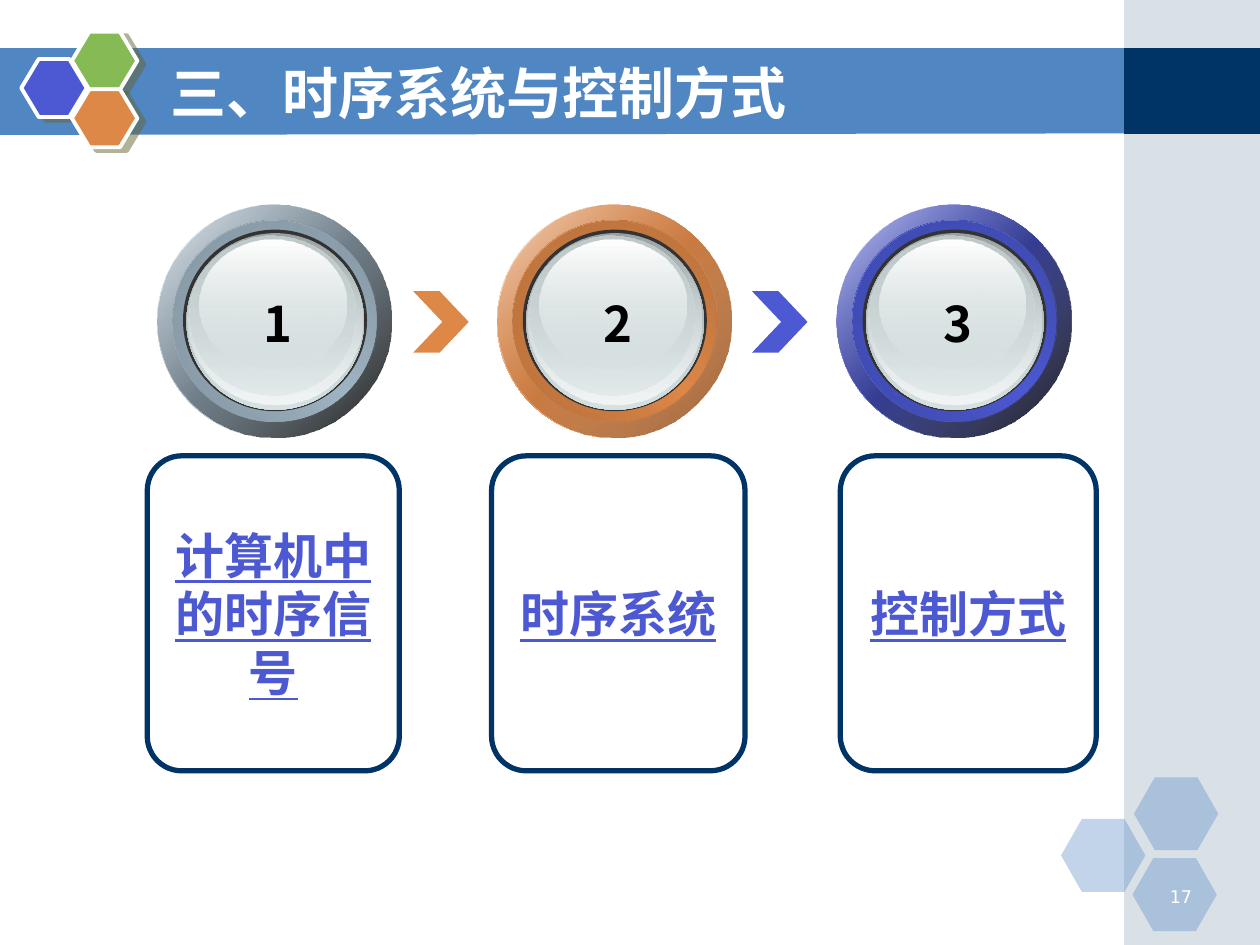
from lxml import etree
from pptx import Presentation
from pptx.dml.color import RGBColor
from pptx.enum.shapes import MSO_SHAPE as Shape
from pptx.enum.text import MSO_ANCHOR as Anchor, MSO_AUTO_SIZE as AutoSize, PP_ALIGN as Align
from pptx.oxml.ns import qn
from pptx.util import Cm, Pt

COLORS = {
    "white": "FFFFFF", "black": "000000", "navy": "003366", "banner": "5086C2",
    "steel": "A0B5C4", "blue": "4C59D2", "green": "85BA54", "orange": "DE8848",
    "rim": "333333", "shade": "666633", "glass": "D6E1E2", "glass_dark": "99A1A2",
    "glass_mid": "C1CBCC", "glass_light": "F2F5F5",
    "steel_dark": "7B8B96", "steel_mid": "8395A1",
    "orange_edge": "9F6134", "orange_dark": "AA6837", "orange_mid": "B6703B",
    "blue_dark": "3A44A1", "blue_mid": "3E49AC",
}
FONT = "Noto Sans CJK SC"


def add_figure(kind, left, top, width, height, stops=(), angle=0, adjust=None):
    """Add a preset shape; stops are (position, color, opacity) in percent."""
    shape = page.shapes.add_shape(kind, Cm(left), Cm(top), Cm(width), Cm(height))
    shape.shadow.inherit = False
    shape.line.fill.background()
    shape.fill.background()
    if adjust is not None:
        shape.adjustments[0] = adjust
    if stops:
        properties = shape.element.spPr
        old_fill = properties.find(qn("a:noFill"))
        fill = etree.Element(qn("a:solidFill" if len(stops) == 1 else "a:gradFill"))
        parent = fill if len(stops) == 1 else etree.SubElement(fill, qn("a:gsLst"))
        for position, color, opacity in stops:
            holder = parent
            if len(stops) > 1:
                holder = etree.SubElement(parent, qn("a:gs"), pos=str(position * 1000))
            value = etree.SubElement(holder, qn("a:srgbClr"), val=COLORS[color])
            if opacity < 100:
                etree.SubElement(value, qn("a:alpha"), val=str(opacity * 1000))
        if len(stops) > 1:
            etree.SubElement(fill, qn("a:lin"), ang=str(angle * 60000), scaled="0")
        properties.replace(old_fill, fill)
    return shape


def write(shape, text, size, color, align, bold=True, font=FONT, underline=False):
    frame = shape.text_frame
    frame.text = text
    para = frame.paragraphs[0]
    para.alignment = align
    span = para.runs[0]
    span.font.size = Pt(size)
    span.font.bold = bold
    span.font.underline = underline
    span.font.name = font
    span.font.color.rgb = RGBColor.from_string(COLORS[color])
    etree.SubElement(span.font._element, qn("a:ea"), typeface=FONT)
    return frame


deck = Presentation()
deck.slide_width, deck.slide_height = Cm(25.4), Cm(19.05)
page = deck.slides.add_slide(deck.slide_layouts[5])

# Banner and side strip
builder = page.shapes.build_freeform(Cm(-0.03), Cm(0.97))
builder.add_line_segments(
    [(Cm(22.73), Cm(0.97)), (Cm(22.73), Cm(2.69)), (Cm(-0.03), Cm(2.72))], close=True)
banner = builder.convert_to_shape()
banner.shadow.inherit = False
banner.fill.solid()
banner.fill.fore_color.rgb = RGBColor.from_string(COLORS["banner"])
banner.line.fill.background()
add_figure(Shape.RECTANGLE, 22.66, 0, 2.74, 19.05, [(0, "steel", 40)])
add_figure(Shape.RECTANGLE, 22.66, 0.97, 2.74, 1.73, [(0, "navy", 100)])

# Pale hexagons in the corner
for left, top in [(21.39, 16.51), (22.86, 15.67), (22.83, 17.3)]:
    add_figure(Shape.HEXAGON, left, top, 1.7, 1.47, [(0, "banner", 35)], adjust=0.286)

# Hexagon cluster on the banner
for left, top, color in [(0.43, 1.19, "blue"), (1.45, 0.64, "green"), (1.45, 1.8, "orange")]:
    hexagon = add_figure(Shape.HEXAGON, left, top, 1.32, 1.17, [(0, color, 100)], adjust=0.3)
    hexagon.line.color.rgb = RGBColor.from_string(COLORS["white"])
    hexagon.line.width = Pt(2.25)
    effects = hexagon.element.spPr.find(qn("a:effectLst"))
    shadow = etree.SubElement(effects, qn("a:outerShdw"), blurRad="0", dist=str(Pt(4.5)),
                              dir=str(27 * 60000), algn="ctr", rotWithShape="0")
    tint = etree.SubElement(shadow, qn("a:srgbClr"), val=COLORS["shade"])
    etree.SubElement(tint, qn("a:alpha"), val="50000")

# Slide number
number_box = page.shapes.add_textbox(Cm(23.01), Cm(17.73), Cm(1.27), Cm(0.64))
number_box.text_frame.word_wrap = True
write(number_box, "17", 10, "white", Align.RIGHT, bold=False, font="DejaVu Sans")

# Title, brought in front of the banner
title = page.shapes.title
title.left, title.top, title.width, title.height = Cm(3.18), Cm(1.07), Cm(18.62), Cm(1.57)
frame = write(title, "三、时序系统与控制方式", 32, "white", Align.LEFT)
frame.vertical_anchor = Anchor.MIDDLE
frame.auto_size = AutoSize.NONE
page.shapes.element.append(title.element)

# Chevrons between the dials
for left, color in [(8.33, "orange"), (15.16, "blue")]:
    add_figure(Shape.CHEVRON, left, 5.87, 1.12, 1.24, [(0, color, 100)], adjust=0.525)

# Cards with a numbered dial above each
topics = [
    ("计算机中的时序信号", FONT, 2.97, 5.08, "steel", ("black", 90)),
    ("时序系统", "Arial", 9.91, 5.11, "orange", ("orange_edge", 100)),
    ("控制方式", FONT, 16.94, 5.16, "blue", ("black", 90)),
]
for index, (text, font, card_left, card_width, color, edge) in enumerate(topics):
    card = add_figure(Shape.ROUNDED_RECTANGLE, card_left, 9.19, card_width, 6.35, adjust=0.137)
    card.line.color.rgb = RGBColor.from_string(COLORS["navy"])
    card.line.width = Pt(3)
    frame = write(card, text, 28, "blue", Align.CENTER, font=font, underline=True)
    frame.word_wrap = True
    frame.vertical_anchor = Anchor.MIDDLE

    # Dial layers from the outer ring to the glass highlight
    dial_left, dial_top = 3.17 + 6.85 * index, 4.13
    dark, mid = color + "_dark", color + "_mid"
    layers = [
        (0, 0, 4.72, 4.7, 45, [(0, "white", 100), (50, color, 100), (100, "white", 100)]),
        (0, 0, 4.72, 4.7, 45, [(0, color, 32), (100, *edge)]),
        (0.31, 0.31, 4.11, 4.06, 315, [(0, dark, 100), (50, color, 100), (100, dark, 100)]),
        (0.31, 0.31, 4.11, 4.06, 45, [(0, mid, 100), (100, color, 0)]),
        (0.52, 0.5, 3.71, 3.66, 0, [(0, "rim", 100)]),
        (0.59, 0.57, 3.58, 3.56, 90, [(0, "glass_dark", 100), (100, "glass", 100)]),
        (0.62, 0.57, 3.51, 3.45, 90, [(0, "glass", 0), (100, "glass_light", 100)]),
        (0.66, 0.62, 3.33, 3.23, 90, [(0, "glass_mid", 100), (100, "glass", 48)]),
        (0.86, 0.7, 2.95, 2.62, 90, [(0, "white", 100), (100, "glass", 38)]),
    ]
    for left, top, width, height, angle, stops in layers:
        add_figure(Shape.OVAL, dial_left + left, dial_top + top, width, height, stops, angle)

    label = page.shapes.add_textbox(Cm(dial_left + 1.9), Cm(5.79), Cm(1.02), Cm(1.45))
    frame = write(label, str(index + 1), 28, "black", Align.CENTER)
    frame.word_wrap = False
    frame.auto_size = AutoSize.SHAPE_TO_FIT_TEXT

deck.save("out.pptx")
